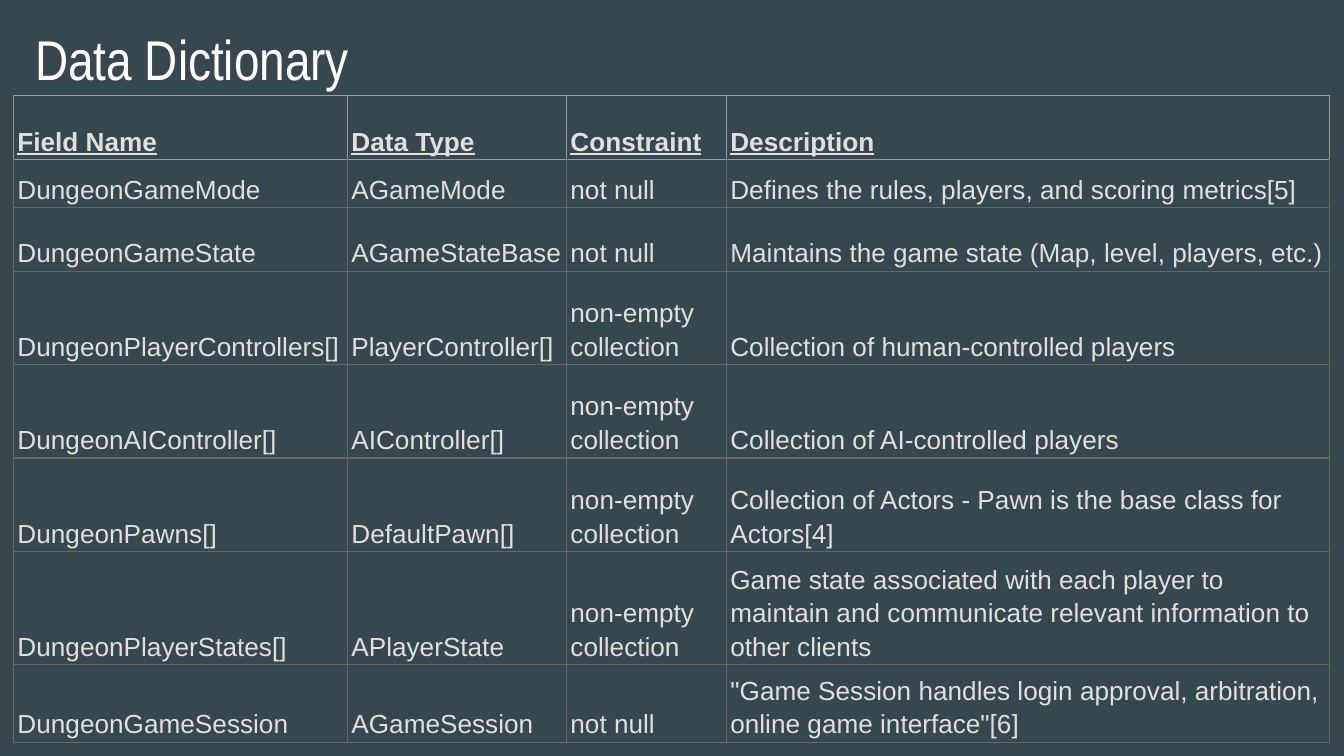
from lxml import etree
from pptx import Presentation, util as u
from pptx.dml.color import RGBColor
from pptx.enum import text
from pptx.oxml.ns import qn

COLORS = {"bg": "37474F", "title": "FFFFFF", "body": "E0E0E0",
          "header_line": "999999", "line": "666666"}
COLUMNS = [24.85, 16.3, 11.9, 44.9]
ROWS = [8.45, 6.35, 8.45] + [12.36] * 4 + [8.45]
COLLECTION = "non-empty collection"
FIELDS = [
    ("Field Name", "Data Type", "Constraint", "Description"),
    ("DungeonGameMode", "AGameMode", "not null",
     "Defines the rules, players, and scoring metrics[5]"),
    ("DungeonGameState", "AGameStateBase", "not null",
     "Maintains the game state (Map, level, players, etc.)"),
    ("DungeonPlayerControllers[]", "PlayerController[]", COLLECTION,
     "Collection of human-controlled players"),
    ("DungeonAIController[]", "AIController[]", COLLECTION,
     "Collection of AI-controlled players"),
    ("DungeonPawns[]", "DefaultPawn[]", COLLECTION,
     "Collection of Actors - Pawn is the base class for Actors[4]"),
    ("DungeonPlayerStates[]", "APlayerState", COLLECTION,
     "Game state associated with each player to maintain and communicate "
     "relevant information to other clients"),
    ("DungeonGameSession", "AGameSession", "not null",
     '"Game Session handles login approval, arbitration, online game interface"[6]'),
]


def write(tf, content, size=14, font="Arial", color="body", bold=False,
          underline=False, spacing=1.0):
    p = tf.paragraphs[0]
    p.line_spacing = spacing
    r = p.add_run()
    r.text = content
    f = r.font
    f.size, f.name, f.bold, f.underline = u.Pt(size), font, bold, underline
    f.color.rgb = RGBColor.from_string(COLORS[color])


class Deck:
    def __init__(self, width, height):
        self.prs = Presentation()
        self.prs.slide_width, self.prs.slide_height = u.Inches(width), u.Inches(height)
        self.s = self.prs.slides.add_slide(self.prs.slide_layouts[6])
        fill = self.s.background.fill
        fill.solid()
        fill.fore_color.rgb = RGBColor.from_string(COLORS["bg"])

    def x(self, percent):
        return int(self.prs.slide_width * percent / 100)

    def y(self, percent):
        return int(self.prs.slide_height * percent / 100)

    def title(self, content, left, top, width, height):
        sp = self.s.shapes.add_textbox(self.x(left), self.y(top), self.x(width), self.y(height))
        tf = sp.text_frame
        tf.word_wrap = True
        tf.margin_left = tf.margin_right = tf.margin_top = tf.margin_bottom = u.Inches(0.1)
        write(tf, content, size=30, font="Arial Narrow", color="title")

    def borders(self, cell, top, rest):
        tc_pr = cell._tc.get_or_add_tcPr()
        for i, side in enumerate(("lnL", "lnR", "lnT", "lnB")):
            ln = etree.Element(qn("a:" + side), w=str(u.Pt(0.75)))
            fill = etree.SubElement(ln, qn("a:solidFill"))
            color = top if side == "lnT" else rest
            etree.SubElement(fill, qn("a:srgbClr"), val=COLORS[color])
            tc_pr.insert(i, ln)

    def table(self, rows, left, top, width, height, widths, heights):
        frame = self.s.shapes.add_table(
            len(rows), len(widths), self.x(left), self.y(top), self.x(width), self.y(height))
        table = frame.table
        table.first_row = table.horz_banding = False
        for column, share in zip(table.columns, widths):
            column.width = self.x(share)
        for i, (row, share) in enumerate(zip(rows, heights)):
            table.rows[i].height = self.y(share)
            header = i == 0
            for j, content in enumerate(row):
                cell = table.cell(i, j)
                cell.fill.background()
                cell.vertical_anchor = text.MSO_ANCHOR.BOTTOM
                cell.margin_left = cell.margin_right = u.Inches(0.03)
                cell.margin_top = cell.margin_bottom = u.Inches(0.02)
                write(cell.text_frame, content, bold=header, underline=header, spacing=1.15)
                self.borders(cell, "header_line" if i < 2 else "line",
                             "header_line" if header else "line")
        frame.width, frame.height = self.x(width), self.y(height)


def main():
    deck = Deck(10, 10 * 9 / 16)
    deck.title("Data Dictionary", 1.65, 1.5, 93.2, 11.2)
    deck.table(FIELDS, 1, 12.63, 32.8, 58.3, COLUMNS, ROWS)
    deck.prs.save("out.pptx")


if __name__ == "__main__":
    main()
